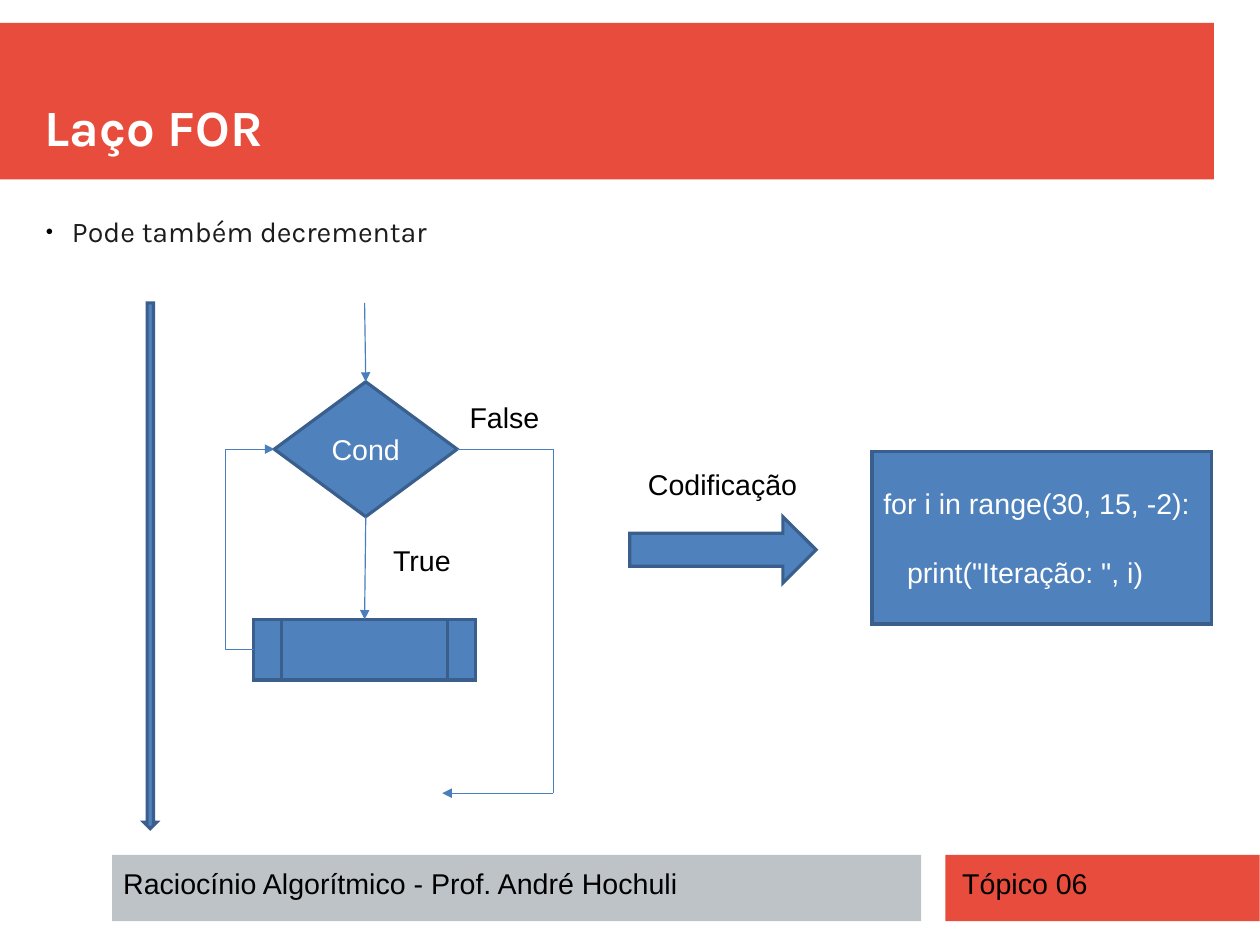
from lxml.etree import SubElement
from pptx import Presentation
from pptx.dml.color import RGBColor
from pptx.enum.shapes import MSO_CONNECTOR as Link, MSO_SHAPE as Shape
from pptx.enum.text import MSO_ANCHOR as Anchor, MSO_AUTO_SIZE as AutoSize, PP_ALIGN as Align
from pptx.oxml.ns import qn
from pptx.util import Cm, Inches, Pt

# Content
TITLE = "Laço FOR"
TOPIC = "Pode também decrementar"
CONDITION = "Cond"
CODE = ["for i in range(30, 15, -2):", '   print("Iteração: ", i)']
LABELS = [  # text, column, row, columns, rows
    ("True", 33.4, 47, 7.1, 4),
    ("False", 40.1, 34.5, 8.2, 4),
    ("Codificação", 55.7, 40.4, 15.2, 4),
]
FOOTERS = [  # text, fill, band column, band columns, text column, text columns
    ("Tópico 06", "E74C3C", 82.7, 27.5, 83.2, 24.9),
    ("Raciocínio Algorítmico - Prof. André Hochuli", "BDC3C7", 9.8, 70.8, 9.8, 70.4),
]
RED, BLUE, EDGE, WIRE = "E74C3C", "4F81BD", "3A5F8C", "4B7EBC"
WHITE, BLACK, INK = "FFFFFF", "000000", "1C1C1C"

# Grid: ten columns or rows to the inch
MARGIN, BAND_END = 3.9, 106.2
FLOW_TOP = 26.5
DIAMOND = (24, 33.4, 16, 11.8)
PROCESS = (22.2, 54.2, 19.4, 5.3)
LOOP_COLUMN = 19.7
EXIT_COLUMN, EXIT_ROW, EXIT_END = 48.4, 69.4, 38.7


def cells(*counts):
    return [Inches(count / 10) for count in counts]


def color(value):
    return RGBColor.from_string(value)


def write(shape, lines, size=18, font="Arial", ink=BLACK, bold=False, align=Align.LEFT,
          anchor=Anchor.TOP, inset=True, wrap=True, gap=0):
    frame = shape.text_frame
    frame.auto_size = AutoSize.NONE
    frame.word_wrap = wrap
    frame.vertical_anchor = anchor
    if not inset:
        frame.margin_left = frame.margin_right = frame.margin_top = frame.margin_bottom = 0
    for index, line in enumerate(lines):
        paragraph = frame.paragraphs[0] if index == 0 else frame.add_paragraph()
        paragraph.alignment = align
        paragraph.space_before = Pt(gap if index else 0)
        run = paragraph.add_run()
        run.text = line
        run.font.size, run.font.name, run.font.bold = Pt(size), font, bold
        run.font.color.rgb = color(ink)
    return frame


def block(kind, place, fill, edge=None):
    shape = shapes.add_shape(kind, *cells(*place))
    shape.shadow.inherit = False
    shape.fill.solid()
    shape.fill.fore_color.rgb = color(fill)
    if edge:
        shape.line.color.rgb = color(edge)
        shape.line.width = Pt(2)
        SubElement(shape.line._get_or_add_ln(), qn("a:miter"), lim="800000")
    else:
        shape.line.fill.background()
    return shape


def label(text, place, **style):
    return write(shapes.add_textbox(*cells(*place)), [text], **style)


def wire(start, end, kind=Link.STRAIGHT, arrow=True, source=None, target=None):
    link = shapes.add_connector(kind, *cells(*start, *end))
    if source:
        link.begin_connect(*source)
    if target:
        link.end_connect(*target)
    link.line.color.rgb = color(WIRE)
    link.line.width = Pt(0.75)
    if arrow:
        SubElement(link.line._get_or_add_ln(), qn("a:tailEnd"), type="triangle")
    SubElement(link._element.spPr, qn("a:effectLst"))
    return link


def bullet(paragraph):
    props = paragraph._p.get_or_add_pPr()
    props.set("marL", str(Inches(0.24)))
    props.set("indent", str(Inches(-0.23)))
    SubElement(SubElement(props, qn("a:buClr")), qn("a:srgbClr"), val=BLACK)
    SubElement(props, qn("a:buSzPct"), val="45000")
    SubElement(props, qn("a:buFont"), typeface="Arial")
    SubElement(props, qn("a:buChar"), char="●")


deck = Presentation()
deck.slide_width, deck.slide_height = Cm(28), Cm(21)
slide = deck.slides.add_slide(deck.slide_layouts[5])
shapes = slide.shapes

# Title on its band
title = shapes.title
title.left, title.top, title.width, title.height = cells(MARGIN, 3.9, BAND_END - MARGIN, 9.8)
write(title, [TITLE], size=32, font="Karla", ink=WHITE, bold=True, anchor=Anchor.BOTTOM, inset=False)
band = block(Shape.RECTANGLE, (0, 2, BAND_END, 13.7), RED)
title.element.addprevious(band.element)

# Footer bands
for text, fill, band_column, band_columns, column, columns in FOOTERS:
    block(Shape.RECTANGLE, (band_column, 74.8, band_columns, 5.8), fill)
    label(text, (column, 75.3, columns, 3.9))

# Topic
topic = label(TOPIC, (MARGIN, 18.7, 100.3, 51.1), font="Karla", ink=INK, inset=False)
bullet(topic.paragraphs[0])

# Flowchart
condition = block(Shape.DIAMOND, DIAMOND, BLUE, EDGE)
write(condition, [CONDITION], ink=WHITE, align=Align.CENTER, anchor=Anchor.MIDDLE)
process = block(Shape.FLOWCHART_PREDEFINED_PROCESS, PROCESS, BLUE, EDGE)
left, top, width, height = DIAMOND
center, middle = left + width / 2, top + height / 2
process_left, process_top, process_width, process_height = PROCESS
process_center = process_left + process_width / 2
process_middle = process_top + process_height / 2

wire((process_center, FLOW_TOP), (center, top), target=(condition, 0))
wire((center, top + height), (process_center, process_top),
     source=(condition, 2), target=(process, 0))
loop = wire((process_left, process_middle), (left, middle), Link.ELBOW,
            source=(process, 1), target=(condition, 1))
bend = round((LOOP_COLUMN - process_left) / (left - process_left) * 100000)
guides = loop._element.spPr.find(qn("a:prstGeom")).get_or_add_avLst()
SubElement(guides, qn("a:gd"), name="adj1", fmla=f"val {bend}")

wire((left + width, middle), (EXIT_COLUMN, middle), arrow=False, source=(condition, 3))
wire((EXIT_COLUMN, middle), (EXIT_COLUMN, EXIT_ROW), arrow=False)
wire((EXIT_COLUMN, EXIT_ROW), (EXIT_END, EXIT_ROW))

# Block arrows and labels
block(Shape.DOWN_ARROW, (12.6, FLOW_TOP, 1.1, 46), BLUE, EDGE)
block(Shape.RIGHT_ARROW, (55.1, 45.2, 16.3, 5.8), BLUE, EDGE)
for text, *place in LABELS:
    label(text, place, wrap=False)

# Code
code = block(Shape.RECTANGLE, (76.3, 39.5, 29.7, 15.1), BLUE, EDGE)
write(code, CODE, ink=WHITE, align=Align.JUSTIFY, anchor=Anchor.MIDDLE, gap=22)

deck.save("out.pptx")
